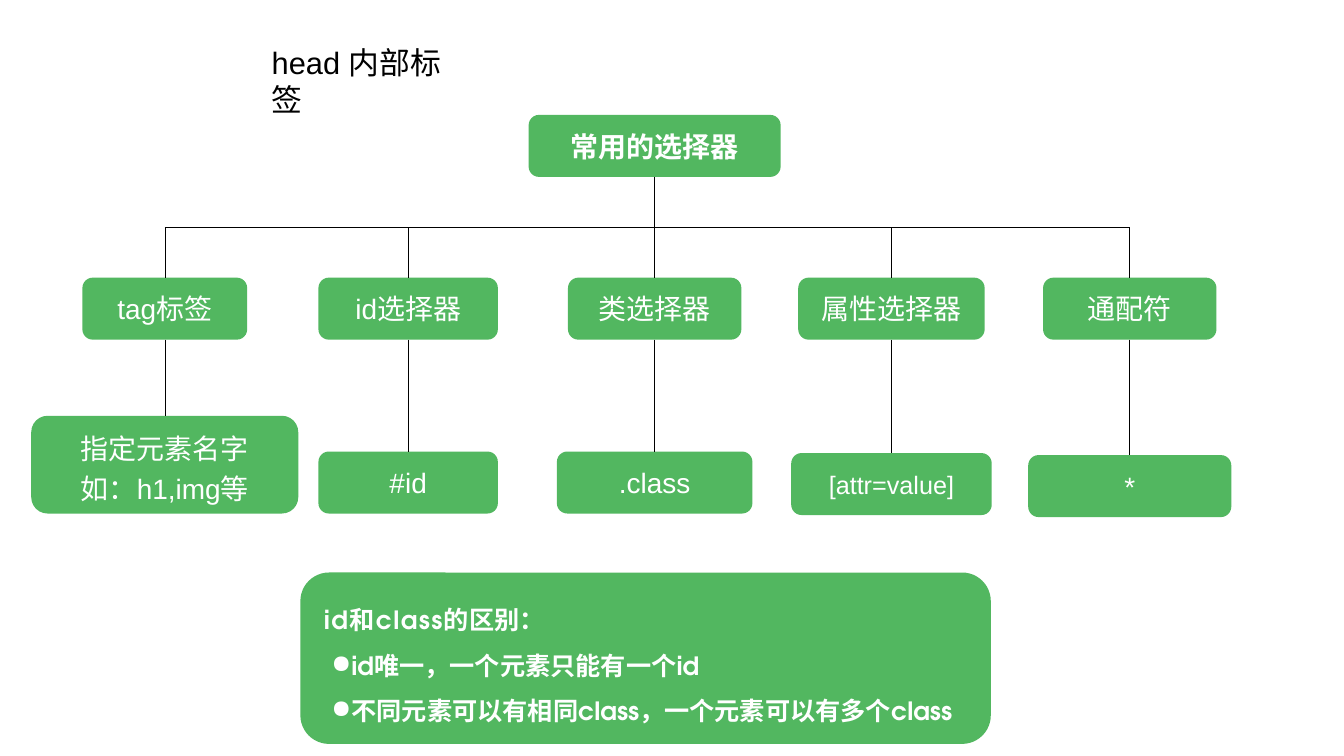
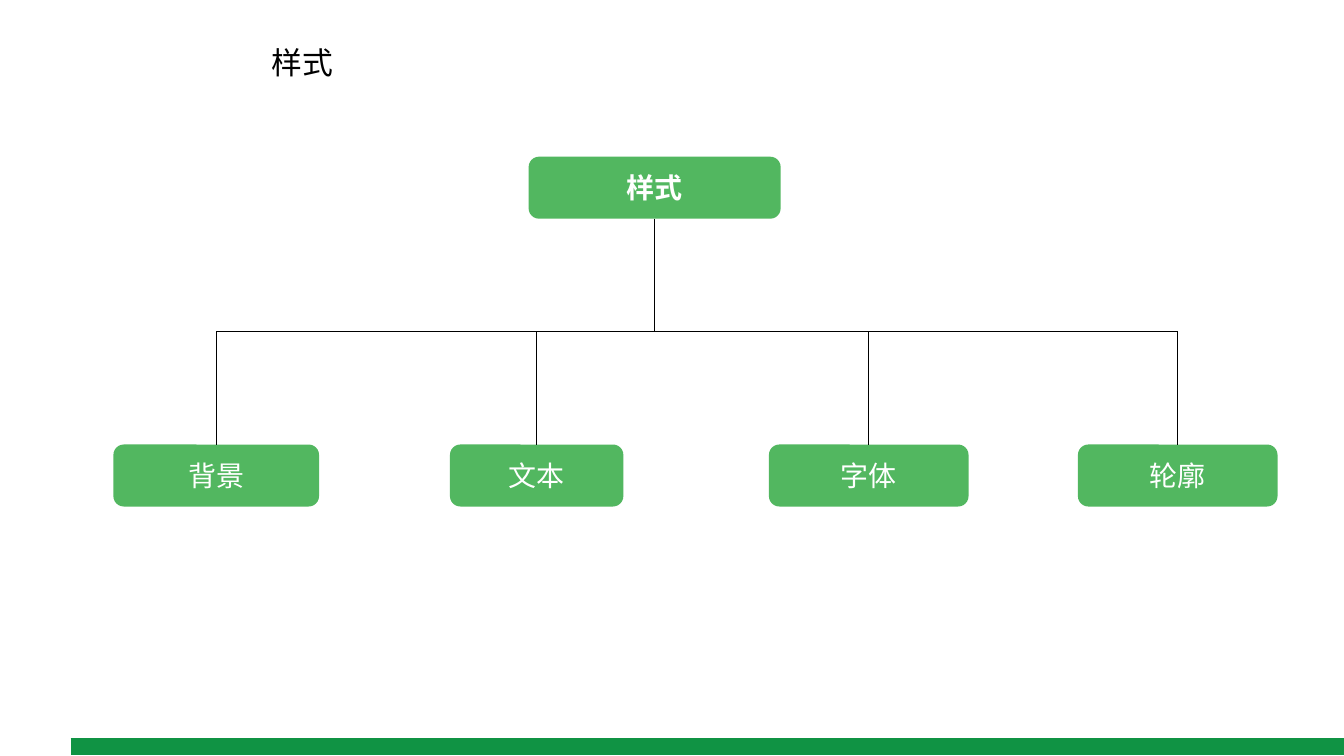
import pptx
import pptx.util
import pptx.dml.color
import pptx.enum.shapes
import pptx.enum.text
import pptx.oxml
import pptx.oxml.ns
from lxml import etree

WIDE, HIGH = 26.67, 15
COLORS = {"node": "52B760", "foot": "109344", "line": "000000",
          "dark": "000000", "light": "FFFFFF"}
SANS, ROUND = "Arial", "TeX Gyre Adventor"
MID = 48.71
NODE_H = 8.2
ROOT_W = 18.75

PICKS = [
    ("tag标签", 12.26, 12.26),
    ("id选择器", 30.37, 13.35),
    ("类选择器", MID, 12.9),
    ("属性选择器", 66.33, 13.87),
    ("通配符", 84.06, 12.9),
]
LEAVES = [
    ("指定元素名字\n如：h1,img等", 55, 19.87, 12.93, 40),
    ("#id", 59.73, 13.35, NODE_H, 40),
    (".class", 59.73, 14.55, NODE_H, 40),
    ("[attr=value]", 59.93, 14.92, NODE_H, 36),
    ("*", 60.2, 15.11, NODE_H, 40),
]
STYLES = [
    ("背景", 16.09, 15.3),
    ("文本", 39.93, 12.9),
    ("字体", 64.64, 14.85),
    ("轮廓", 87.63, 14.85),
]
NOTES = [
    "id唯一，一个元素只能有一个id",
    "不同元素可以有相同class，一个元素可以有多个class",
]


def col(share):
    """Turn a percentage of the slide width into a length."""
    return pptx.util.Inches(WIDE * share / 100)


def row(share):
    """Turn a percentage of the slide height into a length."""
    return pptx.util.Inches(HIGH * share / 100)


def rgb(name):
    """Look up a named colour."""
    return pptx.dml.color.RGBColor.from_string(COLORS[name])


def style(font, size, color, bold=False, face=SANS):
    """Format a font."""
    font.name, font.size, font.bold = face, pptx.util.Pt(size), bold
    font.color.rgb = rgb(color)


def add_title(slide, text):
    """Place and format the title."""
    title = slide.shapes.title
    title.left, title.top = col(19.84), row(5.4)
    title.width, title.height = col(15.64), row(5.6)
    frame = title.text_frame
    frame.text = text
    frame.word_wrap = True
    frame.auto_size = pptx.enum.text.MSO_AUTO_SIZE.NONE
    frame.vertical_anchor = pptx.enum.text.MSO_ANCHOR.TOP
    para = frame.paragraphs[0]
    para.alignment = pptx.enum.text.PP_ALIGN.LEFT
    style(para.runs[0].font, 44, "dark")


def add_card(slide, left, top, width, height):
    """Draw a plain green rounded card."""
    kind = pptx.enum.shapes.MSO_SHAPE.ROUNDED_RECTANGLE
    card = slide.shapes.add_shape(
        kind, col(left), row(top), col(width), row(height))
    card.shadow.inherit = False
    card.fill.solid()
    card.fill.fore_color.rgb = rgb("node")
    card.line.fill.background()
    return card


def add_node(slide, text, center, top, width, height=NODE_H, size=40, bold=False):
    """Draw a labelled card around a centre column."""
    node = add_card(slide, center - width / 2, top, width, height)
    frame = node.text_frame
    frame.word_wrap = True
    frame.vertical_anchor = pptx.enum.text.MSO_ANCHOR.MIDDLE
    frame.margin_left = frame.margin_right = 0
    frame.margin_top = frame.margin_bottom = 0
    frame.text = text
    for para in frame.paragraphs:
        para.alignment = pptx.enum.text.PP_ALIGN.CENTER
        if len(frame.paragraphs) > 1:
            para.line_spacing = 1.2
        style(para.runs[0].font, size, "light", bold)
    return node


def add_line(slide, start, end, color="line", weight=0.75):
    """Draw a straight line between two (column, row) points."""
    kind = pptx.enum.shapes.MSO_CONNECTOR.STRAIGHT
    line = slide.shapes.add_connector(
        kind, col(start[0]), row(start[1]), col(end[0]), row(end[1]))
    line.line.color.rgb = rgb(color)
    line.line.width = pptx.util.Pt(weight)
    etree.SubElement(line._element.spPr, pptx.oxml.ns.qn("a:effectLst"))
    return line


def add_tree(slide, text, top, kids, level):
    """Draw a root, its children and the lines between; return the children."""
    root = add_node(slide, text, MID, top, ROOT_W, bold=True)
    base = top + NODE_H
    bus = (base + level) / 2
    add_line(slide, (MID, base), (MID, bus)).begin_connect(root, 2)
    add_line(slide, (kids[0][1], bus), (kids[-1][1], bus))
    nodes = []
    for label, center, width in kids:
        node = add_node(slide, label, center, level, width)
        add_line(slide, (center, bus), (center, level)).end_connect(node, 0)
        nodes.append(node)
    return nodes


def add_leaves(slide, nodes):
    """Hang an example card under each selector."""
    for node, pick, leaf in zip(nodes, PICKS, LEAVES):
        text, top, width, height, size = leaf
        center = pick[1]
        card = add_node(slide, text, center, top, width, height, size)
        link = add_line(slide, (center, top), (center, top))
        link.begin_connect(node, 2)
        link.end_connect(card, 0)


def add_bullet(para):
    """Give a paragraph a hanging round bullet."""
    props = para._p.get_or_add_pPr()
    props.set("marL", str(pptx.util.Inches(0.5)))
    props.set("indent", str(pptx.util.Inches(-0.35)))
    mark = etree.SubElement(props, pptx.oxml.ns.qn("a:buChar"))
    mark.set("char", "●")


def add_notes(slide):
    """Draw the panel that compares id and class."""
    add_card(slide, 22.35, 75.73, 51.37, 22.67)
    box = slide.shapes.add_textbox(col(23.73), row(77.67), col(47.73), row(18.87))
    frame = box.text_frame
    frame.word_wrap = True
    head = frame.paragraphs[0]
    for part in ("id和class", "的区别："):
        head.add_run().text = part
    head.runs[0].font._element.set("spc", "200")
    for note in NOTES:
        para = frame.add_paragraph()
        para.text = note
        add_bullet(para)
    for para in frame.paragraphs:
        para.line_spacing = 1.5
        for run in para.runs:
            style(run.font, 36, "light", True, ROUND)


def add_page(deck, title):
    """Add a titled slide."""
    slide = deck.slides.add_slide(deck.slide_layouts[5])
    add_title(slide, title)
    return slide


def main():
    """Build the deck."""
    deck = pptx.Presentation()
    deck.slide_width, deck.slide_height = col(100), row(100)

    slide = add_page(deck, "head 内部标签")
    nodes = add_tree(slide, "常用的选择器", 15.2, PICKS, 36.73)
    add_leaves(slide, nodes)
    add_notes(slide)

    slide = add_page(deck, "样式")
    add_line(slide, (5.25, 98.73), (100, 98.73), "foot", 25)
    add_tree(slide, "样式", 20.73, STYLES, 58.8)

    deck.save("out.pptx")


if __name__ == "__main__":
    main()
